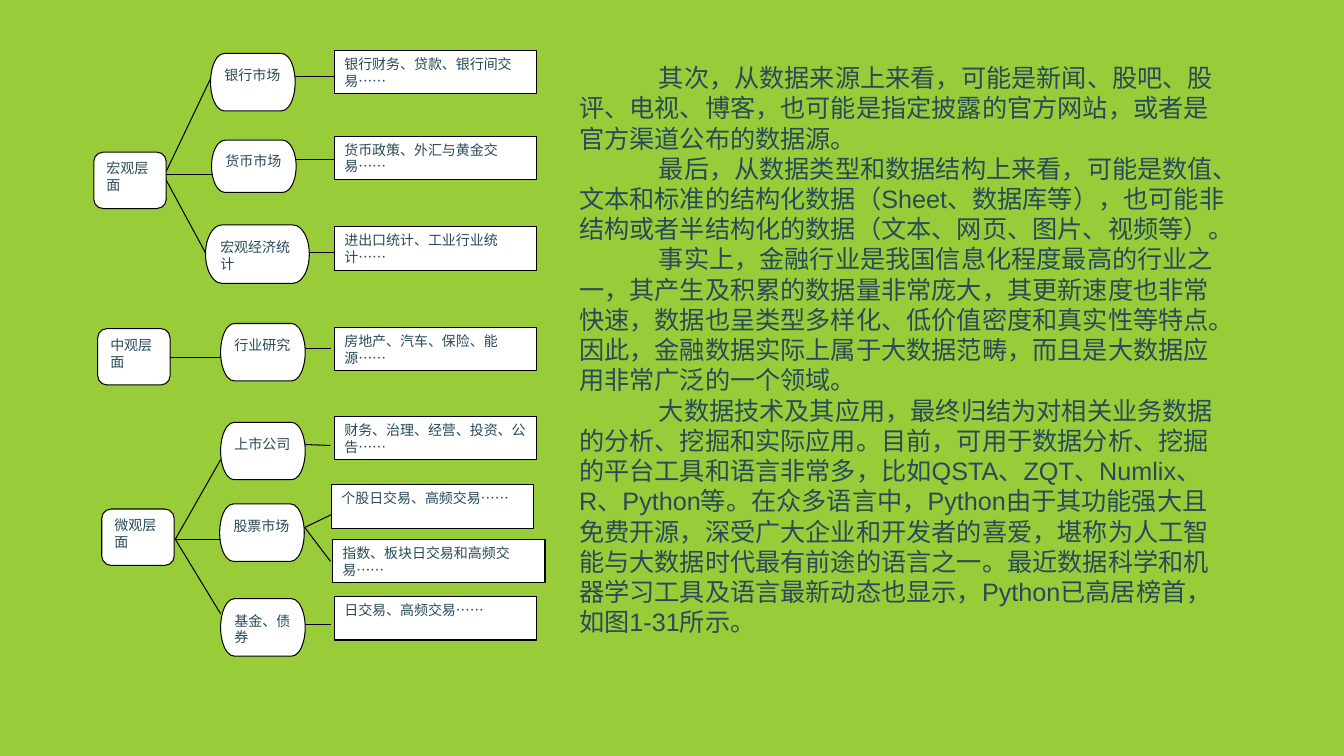
"""Build the slide on financial data levels, with a tree diagram and a text column."""
import dataclasses

import lxml.etree
import pptx
import pptx.dml.color
import pptx.enum.lang
import pptx.enum.shapes
import pptx.enum.text
import pptx.oxml.ns
import pptx.util

Pt = pptx.util.Pt
Shape = pptx.enum.shapes.MSO_SHAPE


@dataclasses.dataclass(frozen=True)
class Theme:
    background: str = "99CC39"
    panel: str = "FFFFFF"
    line: str = "000000"
    text: str = "294A5A"
    label_font: str = "Calibri"
    body_font: str = "Arial"
    label_size: float = 10
    body_size: float = 18
    line_width: float = 0.75


theme = Theme()


def color(value):
    return pptx.dml.color.RGBColor.from_string(value)


def write(para, text, *, font, size, indent=0):
    para.alignment = pptx.enum.text.PP_ALIGN.LEFT
    para._p.get_or_add_pPr().set("indent", str(Pt(indent)))
    span = para.add_run()
    span.text = text
    span.font.name = font
    span.font.size = Pt(size)
    span.font.color.rgb = color(theme.text)
    span.font.language_id = pptx.enum.lang.MSO_LANGUAGE_ID.SIMPLIFIED_CHINESE


deck = pptx.Presentation()
deck.slide_width = Pt(960.5)
deck.slide_height = Pt(540)
page = deck.slides.add_slide(deck.slide_layouts[6])
page.background.fill.solid()
page.background.fill.fore_color.rgb = color(theme.background)

links = [
    (118.8, 122.4, 151.2, 54.7),
    (118.1, 124.6, 151.2, 124.6),
    (118.1, 127.4, 146.9, 180.7),
    (121.7, 255.6, 157.7, 255.6),
    (125.3, 385.2, 157.7, 328.3),
    (125.3, 385.2, 157, 385.2),
    (125.3, 385.2, 157.7, 438.5),
    (211, 54.7, 239, 54.7),
    (211, 113.8, 239, 113.8),
    (221, 180.7, 239, 180.7),
    (218.2, 249.1, 236.9, 249.1),
    (217.4, 317.5, 236.2, 318.2),
    (216.7, 377.3, 237.6, 367.2),
    (218.2, 377.3, 236.2, 401),
    (218.2, 446.4, 236.9, 446.4),
    (64.1, 74.2, 64.1, 74.2),
]
for ends in links:
    link = page.shapes.add_connector(
        pptx.enum.shapes.MSO_CONNECTOR.STRAIGHT, *[Pt(end) for end in ends])
    link.line.color.rgb = color(theme.line)
    link.line.width = Pt(theme.line_width)
    lxml.etree.SubElement(link._element.spPr, pptx.oxml.ns.qn("a:effectLst"))

levels = [
    ("宏观层面", 67, 108.7, 51.8, 40.3),
    ("中观层面", 69.8, 234.7, 51.8, 40.3),
    ("微观层面", 72.7, 363.6, 51.8, 40.3),
]
markets = [
    ("银行市场", 150.5, 38.2, 60.5, 41),
    ("货币市场", 151.2, 100.1, 60.5, 37.4),
    ("宏观经济统计", 146.9, 160.6, 74.2, 41.8),
    ("行业研究", 157.7, 231.1, 60.5, 41),
    ("上市公司", 157.7, 301.7, 60.5, 41),
    ("股票市场", 157, 360, 60.5, 41),
    ("基金、债券", 157.7, 427.7, 60.5, 41),
]
details = [
    ("银行财务、贷款、银行间交易……", 239, 36, 144.7, 31),
    ("货币政策、外汇与黄金交易……", 239, 97.2, 144.7, 31),
    ("进出口统计、工业行业统计……", 239, 162, 144.7, 31),
    ("房地产、汽车、保险、能源……", 239, 234, 144.7, 31),
    ("财务、治理、经营、投资、公告……", 239, 297.4, 144.7, 31),
    ("个股日交易、高频交易……", 236.9, 346.3, 144.7, 31),
    ("指数、板块日交易和高频交易……", 237.6, 385.2, 151.9, 31),
    ("日交易、高频交易……", 239, 426.2, 144.7, 31),
]
columns = [
    (Shape.ROUNDED_RECTANGLE, levels),
    (Shape.FLOWCHART_TERMINATOR, markets),
    (Shape.RECTANGLE, details),
]
for kind, entries in columns:
    for label, *place in entries:
        box = page.shapes.add_shape(kind, *[Pt(length) for length in place])
        box.shadow.inherit = False
        box.fill.solid()
        box.fill.fore_color.rgb = color(theme.panel)
        box.line.color.rgb = color(theme.line)
        box.line.width = Pt(theme.line_width)
        box.text_frame.word_wrap = True
        box.text_frame.vertical_anchor = pptx.enum.text.MSO_ANCHOR.TOP
        write(box.text_frame.paragraphs[0], label,
              font=theme.label_font, size=theme.label_size)

passages = [
    "其次，从数据来源上来看，可能是新闻、股吧、股评、电视、博客，也可能是指定披露的官方网站，"
    "或者是官方渠道公布的数据源。",
    "最后，从数据类型和数据结构上来看，可能是数值、文本和标准的结构化数据（Sheet、数据库等），"
    "也可能非结构或者半结构化的数据（文本、网页、图片、视频等）。",
    "事实上，金融行业是我国信息化程度最高的行业之一，其产生及积累的数据量非常庞大，"
    "其更新速度也非常快速，数据也呈类型多样化、低价值密度和真实性等特点。"
    "因此，金融数据实际上属于大数据范畴，而且是大数据应用非常广泛的一个领域。",
    "大数据技术及其应用，最终归结为对相关业务数据的分析、挖掘和实际应用。"
    "目前，可用于数据分析、挖掘的平台工具和语言非常多，比如QSTA、ZQT、Numlix、R、Python等。"
    "在众多语言中，Python由于其功能强大且免费开源，深受广大企业和开发者的喜爱，"
    "堪称为人工智能与大数据时代最有前途的语言之一。"
    "最近数据科学和机器学习工具及语言最新动态也显示，Python已高居榜首，如图1-31所示。",
]
body = page.shapes.add_textbox(Pt(406.8), Pt(41), Pt(480.2), Pt(422)).text_frame
body.word_wrap = True
for number, passage in enumerate(passages):
    para = body.add_paragraph() if number else body.paragraphs[0]
    write(para, passage, font=theme.body_font, size=theme.body_size, indent=57)

deck.save("out.pptx")
